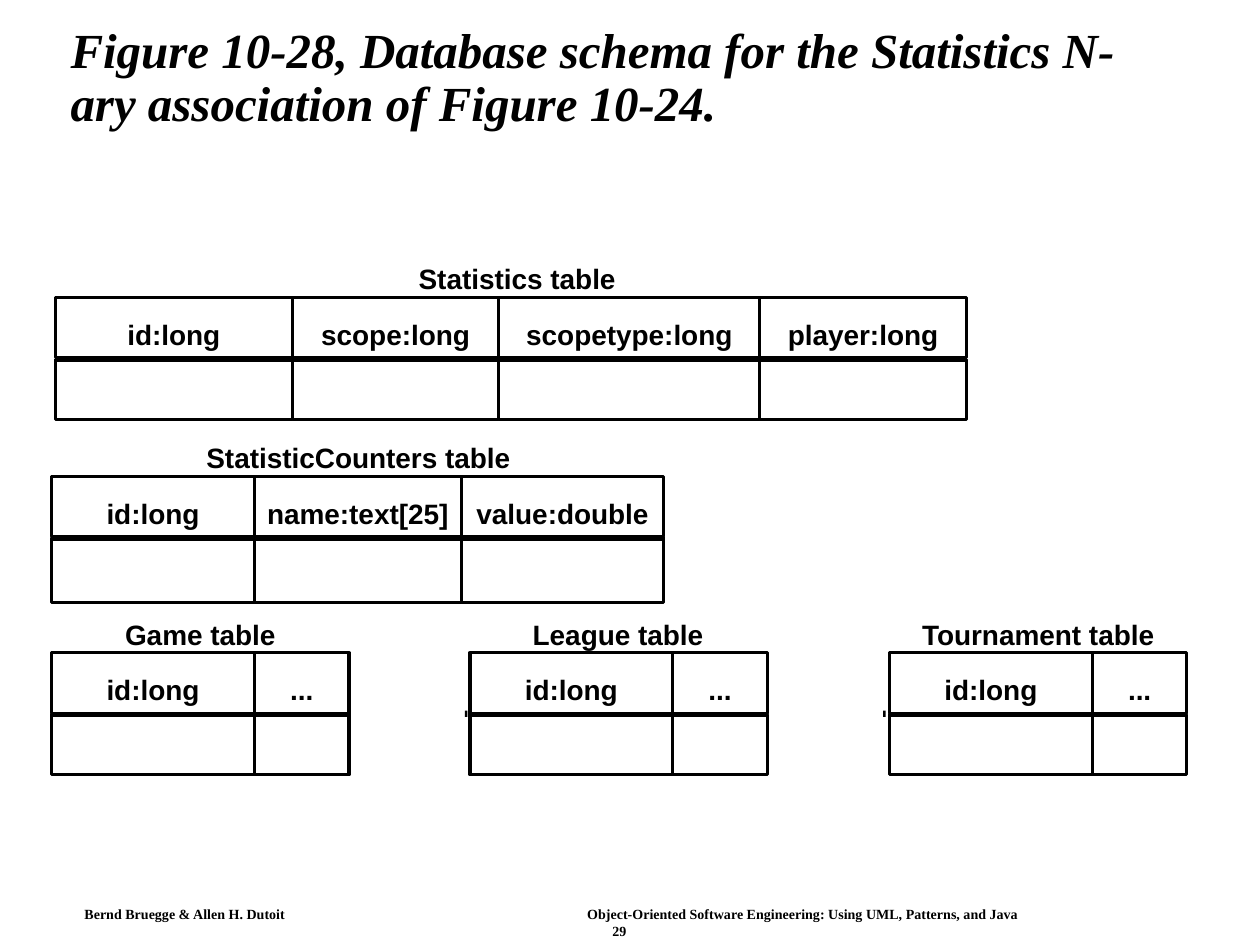
import pptx
import pptx.util
import pptx.dml.color
import pptx.enum.shapes
import pptx.enum.text
from lxml import etree
from pptx.oxml.ns import qn

Inches, Pt = pptx.util.Inches, pptx.util.Pt
ALIGN, ANCHOR = pptx.enum.text.PP_ALIGN, pptx.enum.text.MSO_ANCHOR
AUTO_SIZE = pptx.enum.text.MSO_AUTO_SIZE
BLACK = "000000"

TITLE = "Figure 10-28, Database schema for the Statistics N-ary association of Figure 10-24."
AUTHORS = "Bernd Bruegge & Allen H. Dutoit"
BOOK = "Object-Oriented Software Engineering: Using UML, Patterns, and Java"
PAGE = "29"

ID_COLUMN = ("id:long", 1.61, 0.74)
SHORT_COLUMNS = [ID_COLUMN, ("...", 0.75, 0.19)]
# Columns are (label, column width, label width); a caption is (text, left, width).
TABLES = [
    {"caption": ("Statistics table", 3.32, 1.57), "left": 0.44, "top": 2.36, "body": 0.48,
     "columns": [("id:long", 1.88, 0.74), ("scope:long", 1.64, 1.18),
                 ("scopetype:long", 2.07, 1.64), ("player:long", 1.64, 1.2)]},
    {"caption": ("StatisticCounters table", 1.64, 2.41), "left": 0.41, "top": 3.78, "body": 0.51,
     "columns": [ID_COLUMN, ("name:text[25]", 1.64, 1.44), ("value:double", 1.61, 1.36)]},
    {"caption": ("Game table", 0.99, 1.2), "left": 0.41, "top": 5.18, "body": 0.48,
     "columns": SHORT_COLUMNS},
    {"caption": ("League table", 4.23, 1.35), "left": 3.73, "top": 5.18, "body": 0.48,
     "columns": SHORT_COLUMNS},
    {"caption": ("Tournament table", 7.32, 1.84), "left": 7.06, "top": 5.18, "body": 0.48,
     "columns": SHORT_COLUMNS},
]
TICK_LEFTS = [3.69, 7.01]
HEADER_HEIGHT = 0.48
HEADER_PITCH = 0.49
LABEL_OFFSET = 0.16
CAPTION_OFFSET = -0.28
LABEL_HEIGHT = 0.27
LABEL_SLACK = 0.05  # spare room on each side, so that no label wraps


def color(hex_string):
    return pptx.dml.color.RGBColor.from_string(hex_string)


def set_font(paragraph, name, size, italic=False):
    font = paragraph.font
    font.name, font.size, font.bold, font.italic = name, Pt(size), True, italic
    font.color.rgb = color(BLACK)


def set_margins(frame, horizontal, vertical):
    frame.margin_left = frame.margin_right = Inches(horizontal)
    frame.margin_top = frame.margin_bottom = Inches(vertical)


def add_rectangle(slide, left, top, width, height):
    shape = slide.shapes.add_shape(pptx.enum.shapes.MSO_SHAPE.RECTANGLE, Inches(left),
                                   Inches(top), Inches(width), Inches(height))
    shape.shadow.inherit = False
    return shape


def add_cell(slide, left, top, width, height):
    cell = add_rectangle(slide, left, top, width, height)
    cell.fill.background()
    cell.line.color.rgb = color(BLACK)
    cell.line.width = Pt(1.75)


def add_label(slide, text, left, top, width):
    box = slide.shapes.add_textbox(Inches(left - LABEL_SLACK), Inches(top),
                                   Inches(width + 2 * LABEL_SLACK), Inches(LABEL_HEIGHT))
    frame = box.text_frame
    frame.word_wrap = False
    frame.auto_size = AUTO_SIZE.SHAPE_TO_FIT_TEXT
    set_margins(frame, 0, 0)
    paragraph = frame.paragraphs[0]
    paragraph.text = text
    paragraph.alignment = ALIGN.CENTER
    set_font(paragraph, "Arial", 16)


def add_rule(slide, left, right, y):
    rule = slide.shapes.add_connector(pptx.enum.shapes.MSO_CONNECTOR.STRAIGHT, Inches(left),
                                      Inches(y), Inches(right), Inches(y))
    rule.line.color.rgb = color(BLACK)
    rule.line.width = Pt(3)
    etree.SubElement(rule._element.spPr, qn("a:effectLst"))


def add_schema_table(slide, table):
    top = table["top"]
    body_top = top + HEADER_PITCH
    caption, caption_left, caption_width = table["caption"]
    add_label(slide, caption, caption_left, top + CAPTION_OFFSET, caption_width)
    left = table["left"]
    for label, width, label_width in table["columns"]:
        add_cell(slide, left, top, width, HEADER_HEIGHT)
        add_cell(slide, left, body_top, width, table["body"])
        add_label(slide, label, left + (width - label_width) / 2, top + LABEL_OFFSET, label_width)
        left += width
    add_rule(slide, table["left"], left, body_top)


def add_footer(slide):
    box = slide.shapes.add_textbox(Inches(0.59), Inches(7.15), Inches(8.65), Inches(0.33))
    frame = box.text_frame
    frame.word_wrap = True
    set_margins(frame, 0.08, 0.04)
    credit, number = frame.paragraphs[0], frame.add_paragraph()
    credit.text = f"{AUTHORS}\t{BOOK}"
    tabs = etree.SubElement(credit._p.get_or_add_pPr(), qn("a:tabLst"))
    etree.SubElement(tabs, qn("a:tab"), pos=str(Inches(3.99)), algn="l")
    number.text = PAGE
    number.alignment = ALIGN.CENTER
    for paragraph in (credit, number):
        set_font(paragraph, "Times New Roman", 8)


def set_title(slide):
    title = slide.shapes.title
    title.left, title.top = Inches(0.46), Inches(0.24)
    title.width, title.height = Inches(8.92), Inches(0.77)
    frame = title.text_frame
    frame.text = TITLE
    frame.word_wrap = True
    frame.auto_size = AUTO_SIZE.NONE
    frame.vertical_anchor = ANCHOR.MIDDLE
    set_margins(frame, 0.1, 0.05)
    paragraph = frame.paragraphs[0]
    paragraph.alignment = ALIGN.LEFT
    paragraph.line_spacing = 0.9
    set_font(paragraph, "Times New Roman", 28, italic=True)


def main():
    presentation = pptx.Presentation()
    presentation.slide_width, presentation.slide_height = Inches(10), Inches(7.5)
    slide = presentation.slides.add_slide(presentation.slide_layouts[5])
    set_title(slide)
    for table in TABLES:
        add_schema_table(slide, table)
    for left in TICK_LEFTS:
        tick = add_rectangle(slide, left, 5.64, 0.02, 0.05)
        tick.fill.solid()
        tick.fill.fore_color.rgb = color(BLACK)
        tick.line.fill.background()
    add_footer(slide)
    presentation.save("out.pptx")


if __name__ == "__main__":
    main()
